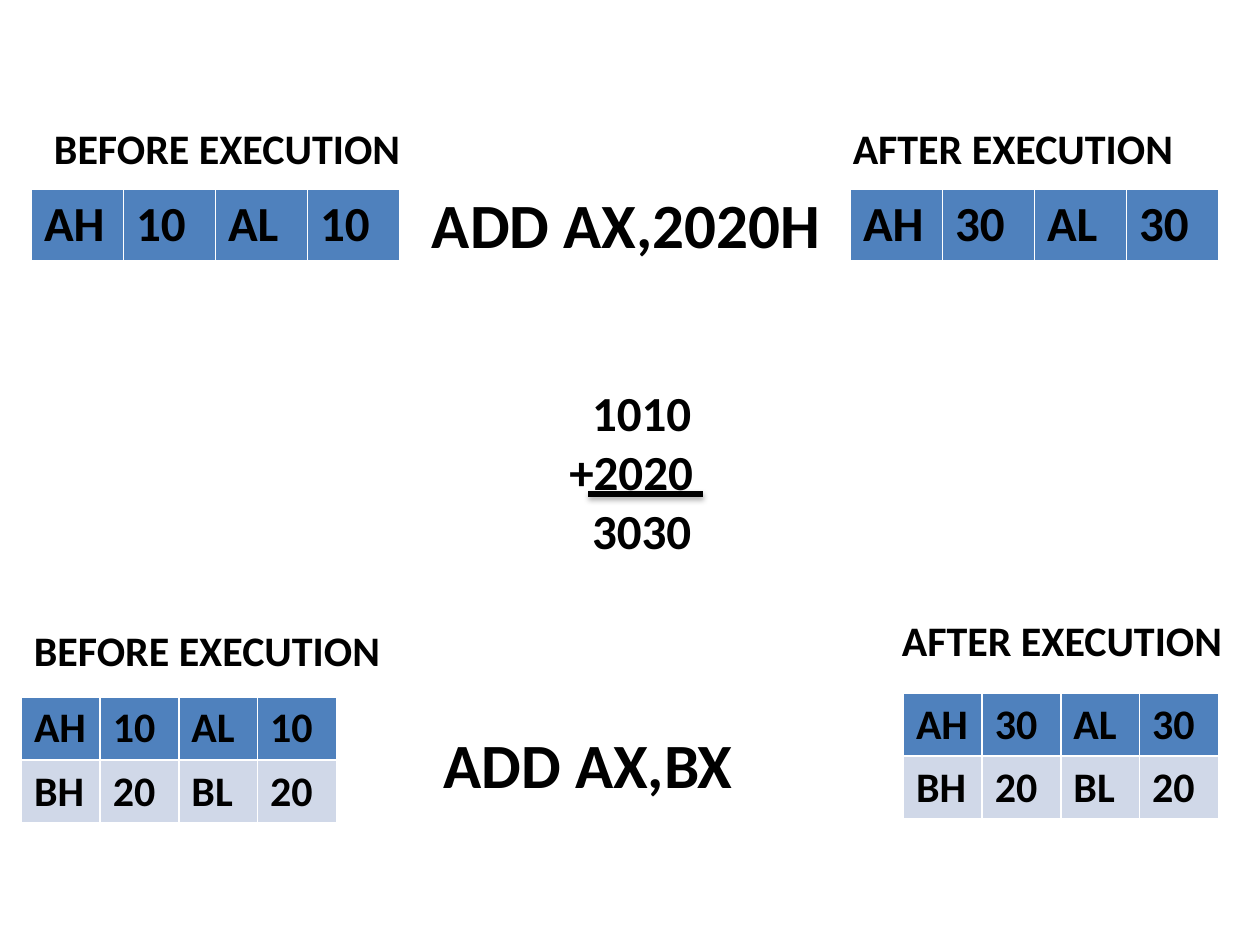
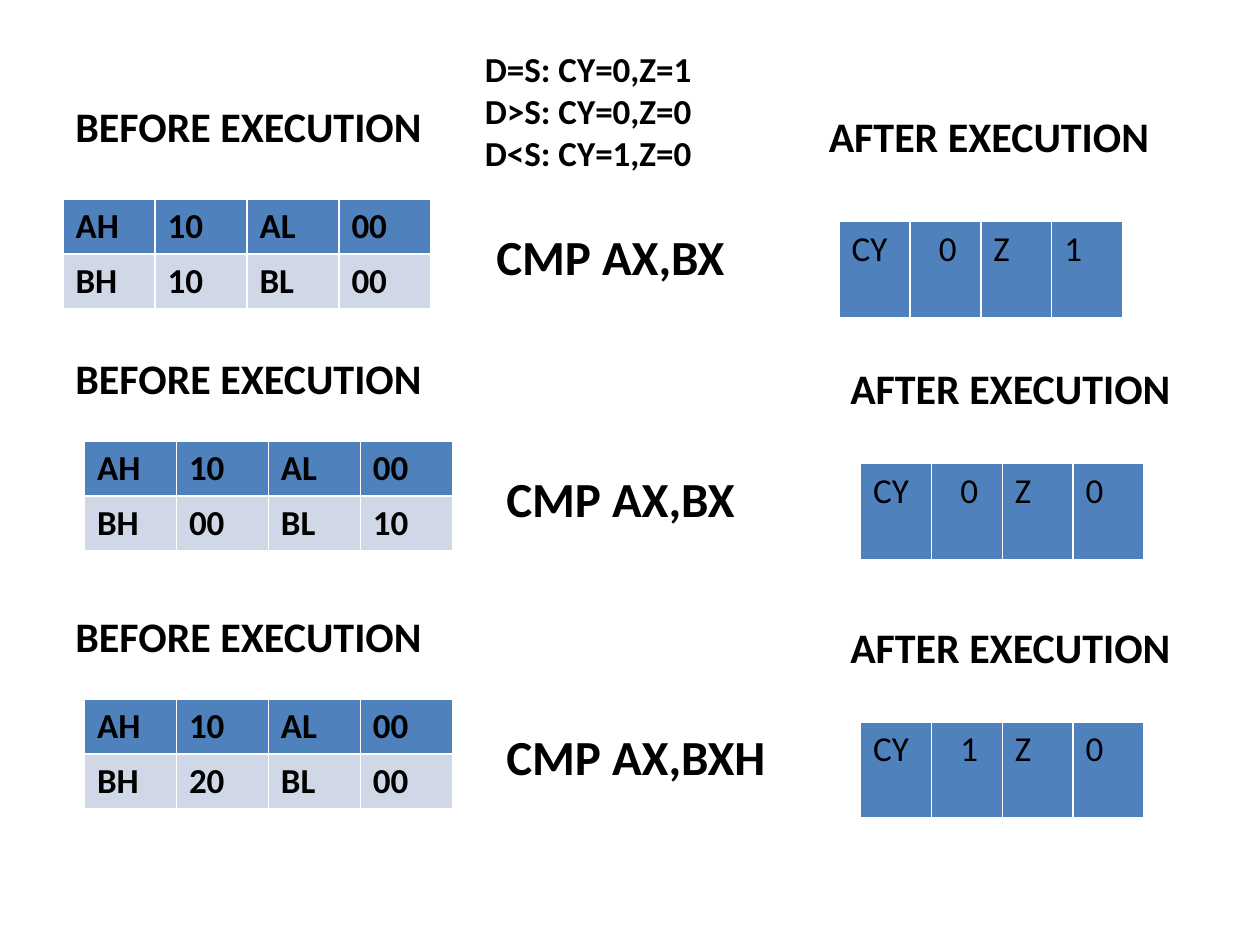
from dataclasses import dataclass

from lxml.etree import SubElement
from pptx import Presentation
from pptx.dml.color import RGBColor
from pptx.enum.shapes import MSO_CONNECTOR
from pptx.oxml import parse_xml
from pptx.oxml.ns import nsdecls, qn
from pptx.util import Inches, Pt


@dataclass(frozen=True)
class Theme:
    """Colours, font and type sizes shared by the slides."""

    font: str = "Calibri"
    ink: str = "000000"
    first_row: str = "4F81BD"
    second_row: str = "D0D8E8"
    border: str = "FFFFFF"
    instruction: int = 36
    large: int = 28
    label: int = 24
    small: int = 20


@dataclass(frozen=True)
class Comparison:
    """One CMP example: its place, operands and resulting flags."""

    label_top: float
    table_top: float
    shift: float
    instruction_left: float
    instruction: str
    registers: tuple
    flags: tuple


THEME = Theme()

COMPARISONS = (
    Comparison(0.75, 1.58, -0.17, 3.84, "CMP AX,BX",
               (("AH", "10", "AL", "00"), ("BH", "10", "BL", "00")),
               ("CY", "0", "Z", "1")),
    Comparison(2.75, 3.5, 0, 3.92, "CMP AX,BX",
               (("AH", "10", "AL", "00"), ("BH", "00", "BL", "10")),
               ("CY", "0", "Z", "0")),
    Comparison(4.8, 5.55, 0, 3.92, "CMP AX,BXH",
               (("AH", "10", "AL", "00"), ("BH", "20", "BL", "00")),
               ("CY", "1", "Z", "0")),
)


def set_indent(paragraph, indent):
    """Indent a whole paragraph by a number of inches."""
    paragraph._p.get_or_add_pPr().set("marL", str(Inches(indent)))


def format_runs(paragraph, size, bold=True):
    """Apply the theme font to every run of a paragraph."""
    for run in paragraph.runs:
        run.font.name = THEME.font
        run.font.size = Pt(size)
        run.font.bold = bold
        run.font.color.rgb = RGBColor.from_string(THEME.ink)


def add_text(slide, left, top, width, height, lines, size, wrap=True):
    """Add a text box with one paragraph for each line."""
    box = slide.shapes.add_textbox(
        Inches(left), Inches(top), Inches(width), Inches(height))
    text_frame = box.text_frame
    text_frame.word_wrap = wrap
    text_frame.text = "\n".join(lines)
    for paragraph in text_frame.paragraphs:
        format_runs(paragraph, size)
    return box


def add_before_label(slide, left, top):
    """Label the state before the instruction."""
    add_text(slide, left, top, 2.98, 0.5, ["BEFORE EXECUTION"], THEME.label, wrap=False)


def add_after_label(slide, left, top):
    """Label the state after the instruction."""
    add_text(slide, left, top, 2.77, 0.5, ["AFTER EXECUTION"], THEME.label, wrap=False)


def add_borders(cell):
    """Draw thin borders on all sides of a cell."""
    properties = cell._tc.get_or_add_tcPr()
    for side in ("lnL", "lnR", "lnT", "lnB"):
        line = SubElement(properties, qn(f"a:{side}"), w=str(Pt(1)))
        fill = SubElement(line, qn("a:solidFill"))
        SubElement(fill, qn("a:srgbClr"), val=THEME.border)


def add_state_table(slide, left, top, width, height, rows, size, bold=True):
    """Add a table of names and values with equal cells."""
    table = slide.shapes.add_table(
        len(rows), len(rows[0]), Inches(left), Inches(top),
        Inches(width), Inches(height)).table
    fills = (THEME.first_row, THEME.second_row)
    for row_index, (values, fill) in enumerate(zip(rows, fills)):
        for column_index, value in enumerate(values):
            cell = table.cell(row_index, column_index)
            cell.text = value
            format_runs(cell.text_frame.paragraphs[0], size, bold)
            add_borders(cell)
            cell.fill.solid()
            cell.fill.fore_color.rgb = RGBColor.from_string(fill)
    return table


def add_sum_line(slide, left, right, top):
    """Add the heavy line above the result, with a soft shadow."""
    line = slide.shapes.add_connector(
        MSO_CONNECTOR.STRAIGHT, Inches(left), Inches(top), Inches(right), Inches(top))
    line.line.width = Pt(3)
    line.line.color.rgb = RGBColor.from_string(THEME.ink)
    line._element.spPr.append(parse_xml(
        f'<a:effectLst {nsdecls("a")}>'
        f'<a:outerShdw blurRad="{Pt(3.1)}" dist="{Pt(1.8)}" dir="5400000" rotWithShape="0">'
        f'<a:srgbClr val="{THEME.ink}"><a:alpha val="35000"/></a:srgbClr>'
        '</a:outerShdw></a:effectLst>'))


def add_written_sum(slide):
    """Show the addition as a column sum."""
    box = add_text(slide, 4.42, 2.99, 2.75, 1.51, ["1010", "+2020", "3030"], THEME.large)
    for paragraph in box.text_frame.paragraphs[::2]:
        set_indent(paragraph, 0.18)
    add_sum_line(slide, 4.67, 5.58, 3.92)


def build_add_slide(slide):
    """Show ADD with an immediate value and with a register."""
    add_before_label(slide, 0.33, 0.92)
    add_after_label(slide, 6.67, 0.92)
    add_text(slide, 3.33, 1.42, 3.33, 0.71, ["ADD AX,2020H"], THEME.instruction)
    add_before_label(slide, 0.17, 4.91)
    add_after_label(slide, 7.06, 4.83)
    add_text(slide, 3.42, 5.71, 2.92, 0.71, ["ADD AX,BX"], THEME.instruction)
    for value, wide_left, left, top in (("10", 0.25, 0.17, 5.53), ("30", 6.75, 7.17, 5.5)):
        accumulator = ("AH", value, "AL", value)
        base = ("BH", "20", "BL", "20")
        add_state_table(slide, wide_left, 1.5, 2.92, 0.57, [accumulator], THEME.large)
        add_state_table(slide, left, top, 2.5, 1, [accumulator, base], THEME.label)
    add_written_sum(slide)


def add_comparison(slide, case):
    """Show the registers, instruction and flags of one comparison."""
    add_before_label(slide, 0.5, case.label_top)
    add_after_label(slide, 6.65 + case.shift, case.label_top + 0.08)
    add_state_table(slide, 0.67 + case.shift, case.table_top, 2.92, 0.87,
                    case.registers, THEME.small)
    add_text(slide, case.instruction_left, case.table_top + 0.17, 2.75, 0.57,
             [case.instruction], THEME.large)
    flags = add_state_table(slide, 6.83 + case.shift, case.table_top + 0.18, 2.25, 0.76,
                            [case.flags], THEME.small, bold=False)
    set_indent(flags.cell(0, 1).text_frame.paragraphs[0], 0.13)


def build_compare_slide(slide):
    """Show the flag rules and three CMP examples."""
    add_text(slide, 3.75, 0.33, 2.25, 1.11,
             ["D=S: CY=0,Z=1", "D>S: CY=0,Z=0", "D<S: CY=1,Z=0"], THEME.small)
    for case in COMPARISONS:
        add_comparison(slide, case)


def main():
    """Build and save the presentation."""
    presentation = Presentation()
    presentation.slide_width = Inches(10)
    presentation.slide_height = Inches(7.5)
    blank_layout = presentation.slide_layouts[6]
    for build_slide in (build_add_slide, build_compare_slide):
        build_slide(presentation.slides.add_slide(blank_layout))
    presentation.save("out.pptx")


if __name__ == "__main__":
    main()
